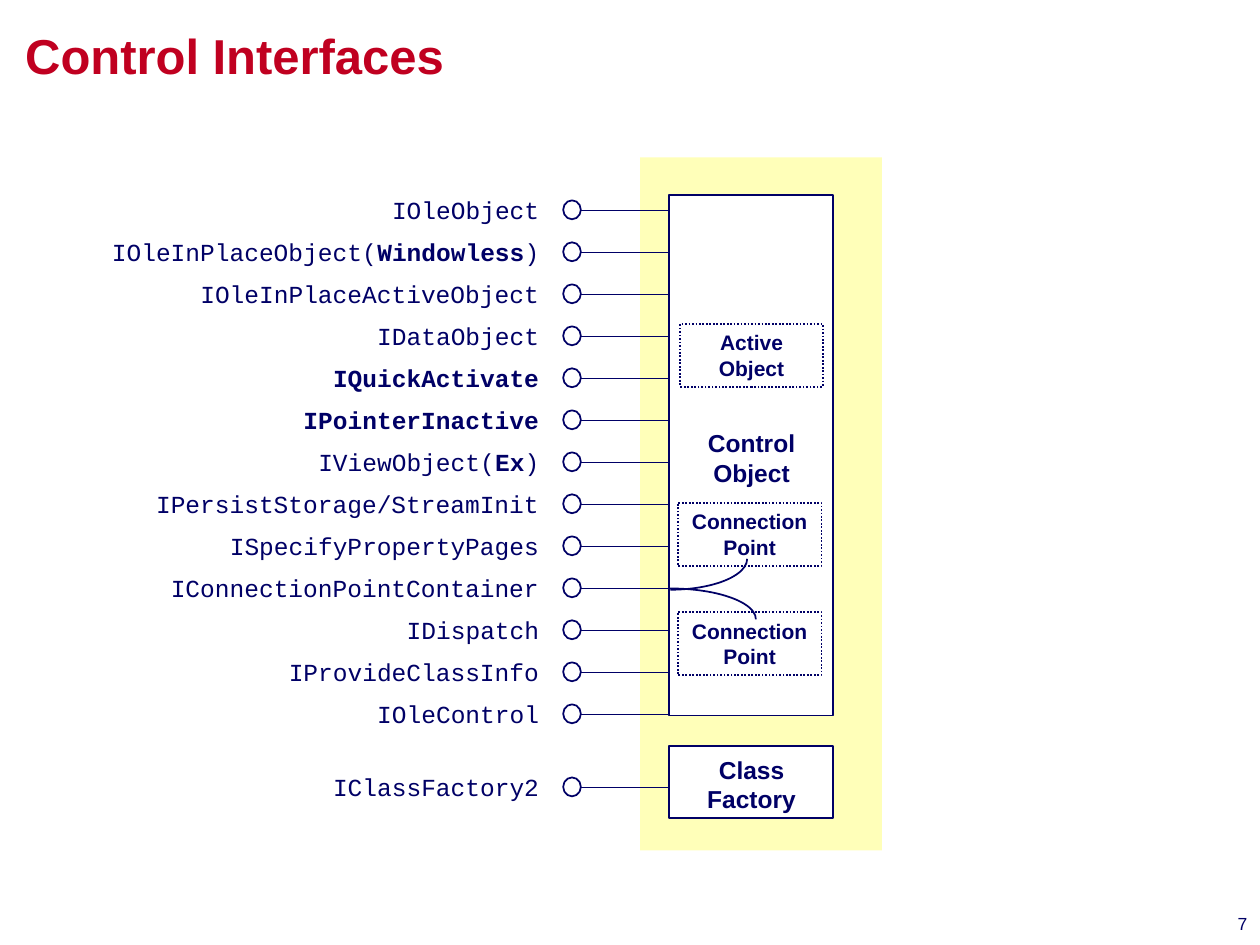
from lxml.etree import SubElement
from pptx import Presentation
from pptx.dml.color import RGBColor
from pptx.enum.dml import MSO_LINE
from pptx.enum.shapes import MSO_CONNECTOR, MSO_SHAPE
from pptx.enum.text import MSO_ANCHOR, MSO_AUTO_SIZE, PP_ALIGN
from pptx.oxml.ns import qn
from pptx.util import Inches, Pt

NAVY, RED, YELLOW, WHITE = "000066", "C00020", "FFFFB9", "FFFFFF"
SANS, MONO = "Arial", "Courier New"
TITLE = "Control Interfaces"
PAGE_NUMBER = "7"

INTERFACES = [
    ([("IOleObject", False)], 1.45),
    ([("IOleInPlaceObject(", False), ("Windowless", True), (")", False)], 3.84),
    ([("IOleInPlaceActiveObject", False)], 3.36),
    ([("IDataObject", False)], 2.46),
    ([("IQuickActivate", True)], 2.46),
    ([("IPointerInactive", True)], 2.46),
    ([("IViewObject(", False), ("Ex", True), (")", False)], 2.46),
    ([("IPersistStorage/StreamInit", False)], 3.57),
    ([("ISpecifyPropertyPages", False)], 2.95),
    ([("IConnectionPointContainer", False)], 3.4),
    ([("IDispatch", False)], 2.63),
    ([("IProvideClassInfo", False)], 2.63),
    ([("IOleControl", False)], 2.63),
]
FACTORY_INTERFACE = ([("IClassFactory2", False)], 2.63)

PANELS = [
    ((5.08, 1.25, 1.92, 5.5), YELLOW, None),
    ((5.31, 1.55, 1.3, 4.13), WHITE, NAVY),
    ((5.31, 5.92, 1.3, 0.57), WHITE, NAVY),
]
INNER_OBJECTS = [
    (["Active", "Object"], (5.4, 2.57, 1.13, 0.5)),
    (["Connection", "Point"], (5.38, 3.99, 1.14, 0.5)),
    (["Connection", "Point"], (5.38, 4.86, 1.14, 0.5)),
]
OBJECT_NAMES = [
    (["Control", "Object"], (5.39, 3.35, 1.15, 0.56)),
    (["Class", "Factory"], (5.39, 5.94, 1.15, 0.56)),
]
ARCS = [
    ((4.63, 4.67, 1.37, 0.49), (162, 0)),
    ((4.71, 4.19, 1.22, 0.49), (0, 54)),
]

FIRST_ROW, ROW_STEP, FACTORY_ROW = 1.67, 1 / 3, 6.25
OBJECT_LEFT, PIN_END, LABEL_RIGHT = 5.31, 4.53, 4.38


def color(value):
    return RGBColor.from_string(value)


def inches(values):
    return [Inches(value) for value in values]


def add_outline(parent, kind, place, fill=None, line=None):
    shape = parent.add_shape(kind, *inches(place))
    shape.shadow.inherit = False
    if fill:
        shape.fill.solid()
        shape.fill.fore_color.rgb = color(fill)
    else:
        shape.fill.background()
    if line:
        shape.line.color.rgb = color(line)
        shape.line.width = Pt(1)
    else:
        shape.line.fill.background()
    return shape


def write(shape, lines, size, font=SANS, align=PP_ALIGN.CENTER, ink=NAVY,
          insets=(0.1, 0.05, 0.1, 0.05)):
    frame = shape.text_frame
    frame.word_wrap = True
    frame.auto_size = MSO_AUTO_SIZE.NONE
    frame.vertical_anchor = MSO_ANCHOR.TOP
    (frame.margin_left, frame.margin_top,
     frame.margin_right, frame.margin_bottom) = inches(insets)
    for index, spans in enumerate(lines):
        para = frame.paragraphs[0] if index == 0 else frame.add_paragraph()
        para.alignment = align
        for text, bold in spans:
            span = para.add_run()
            span.text = text
            span.font.name = font
            span.font.size = Pt(size)
            span.font.bold = bold
            span.font.color.rgb = color(ink)


def bold_lines(words):
    return [[(word, True)] for word in words]


def add_interface(page, spans, width, row):
    pin = page.shapes.add_group_shape().shapes
    stem = pin.add_connector(
        MSO_CONNECTOR.STRAIGHT, *inches((OBJECT_LEFT, row, PIN_END, row)))
    stem.line.color.rgb = color(NAVY)
    stem.line.width = Pt(1)
    SubElement(stem._element.spPr, qn("a:effectLst"))
    add_outline(pin, MSO_SHAPE.OVAL, (4.47, row - 0.08, 0.14, 0.15), WHITE, NAVY)
    label = page.shapes.add_textbox(
        *inches((LABEL_RIGHT - width, row - 0.17, width, 0.33)))
    write(label, [spans], 14, MONO, PP_ALIGN.RIGHT)


def main():
    deck = Presentation()
    deck.slide_width, deck.slide_height = Inches(10), Inches(7.5)
    page = deck.slides.add_slide(deck.slide_layouts[5])
    shapes = page.shapes

    title = shapes.title
    title.left, title.top, title.width, title.height = inches((0, 0, 10, 1))
    write(title, bold_lines([TITLE]), 28, SANS, PP_ALIGN.LEFT, RED,
          (0.2, 0.2, 1.97, 0.14))

    number = shapes.add_textbox(*inches((6.4, 7.2, 3.5, 0.17)))
    write(number, [[(PAGE_NUMBER, False)]], 10, SANS, PP_ALIGN.RIGHT,
          insets=(0, 0.05, 0, 0.05))

    for place, fill, line in PANELS:
        add_outline(shapes, MSO_SHAPE.RECTANGLE, place, fill, line)
    for words, place in INNER_OBJECTS:
        box = add_outline(shapes, MSO_SHAPE.RECTANGLE, place, line=NAVY)
        box.line.dash_style = MSO_LINE.ROUND_DOT
        write(box, bold_lines(words), 12)
    for words, place in OBJECT_NAMES:
        write(shapes.add_textbox(*inches(place)), bold_lines(words), 14)

    for index, (spans, width) in enumerate(INTERFACES):
        add_interface(page, spans, width, FIRST_ROW + index * ROW_STEP)
    add_interface(page, *FACTORY_INTERFACE, FACTORY_ROW)

    for place, (start, end) in ARCS:
        arc = add_outline(shapes, MSO_SHAPE.ARC, place, line=NAVY)
        arc.adjustments[0], arc.adjustments[1] = start, end

    deck.save("out.pptx")


if __name__ == "__main__":
    main()
